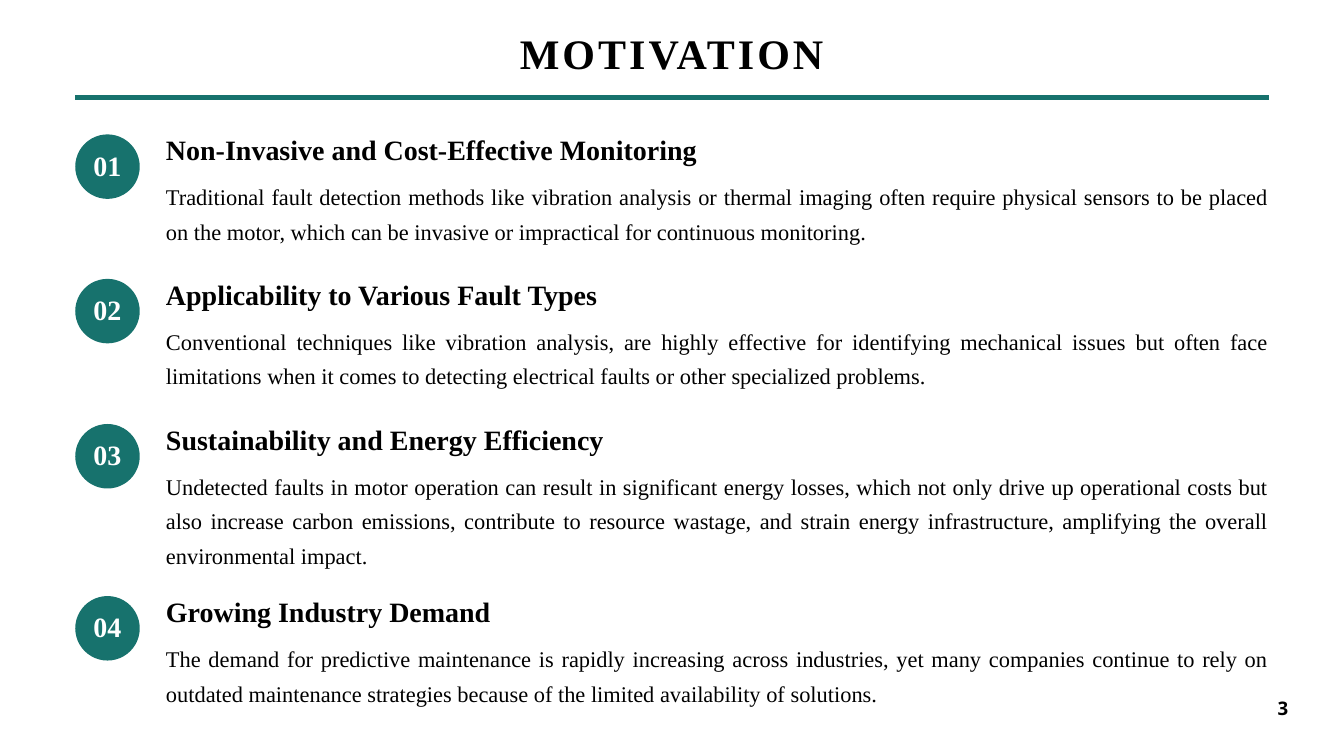
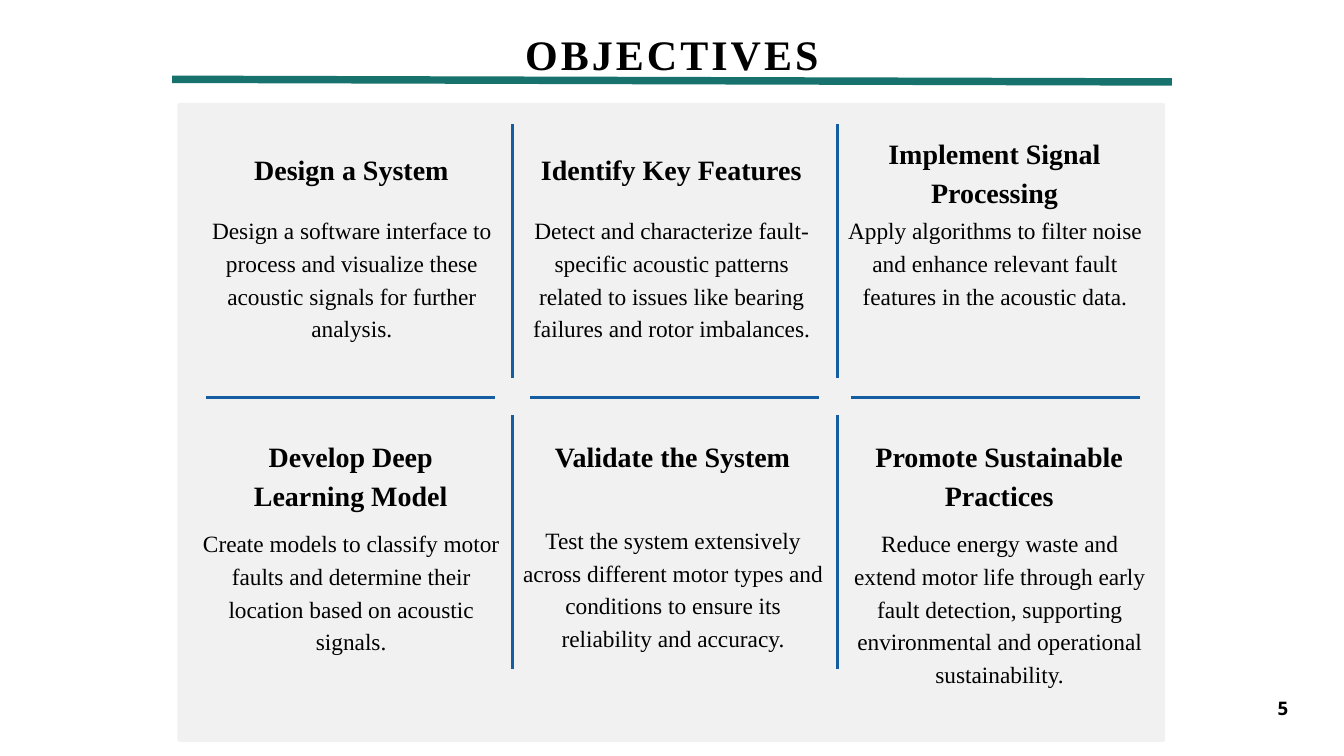
"""Builds the motivation and objectives slides of a motor fault detection talk."""
from itertools import product

from lxml import etree
from pptx import Presentation
from pptx.dml.color import RGBColor
from pptx.enum.shapes import MSO_CONNECTOR as CONN, MSO_SHAPE as SHAPE
from pptx.enum.text import MSO_ANCHOR as ANCHOR, MSO_AUTO_SIZE as AUTO, PP_ALIGN as ALIGN
from pptx.oxml.ns import qn
from pptx.util import Inches, Pt

TEAL, BLUE, GREY = "17726D", "145DA0", "F2F1F1"
BLACK, WHITE = "000000", "FFFFFF"
SERIF, SANS = "Times New Roman", "Open Sans"

REASONS = [
    (2.0, 1.05, "Non-Invasive and Cost-Effective Monitoring",
     "Traditional fault detection methods like vibration analysis or thermal imaging often "
     "require physical sensors to be placed on the motor, which can be invasive or "
     "impractical for continuous monitoring."),
    (4.15, 1.05, "Applicability to Various Fault Types",
     "Conventional techniques like vibration analysis, are highly effective for identifying "
     "mechanical issues but often face limitations when it comes to detecting electrical "
     "faults or other specialized problems."),
    (6.31, 1.52, "Sustainability and Energy Efficiency",
     "Undetected faults in motor operation can result in significant energy losses, which "
     "not only drive up operational costs but also increase carbon emissions, contribute to "
     "resource wastage, and strain energy infrastructure, amplifying the overall "
     "environmental impact."),
    (8.87, 1.01, "Growing Industry Demand",
     "The demand for predictive maintenance is rapidly increasing across industries, yet "
     "many companies continue to rely on outdated maintenance strategies because of the "
     "limited availability of solutions."),
]

GOALS = [
    (5.23, 2.18, 3.15, "Design a System",
     "Design a software interface to process and visualize these acoustic signals for "
     "further analysis."),
    (9.99, 2.18, 3.15, "Identify Key Features",
     "Detect and characterize fault-specific acoustic patterns related to issues like "
     "bearing failures and rotor imbalances."),
    (14.8, 1.95, 3.15, "Implement Signal Processing",
     "Apply algorithms to filter noise and enhance relevant fault features in the acoustic "
     "data."),
    (5.22, 6.46, 7.81, "Develop Deep Learning Model",
     "Create models to classify motor faults and determine their location based on acoustic "
     "signals."),
    (10.01, 6.46, 7.76, "Validate the System",
     "Test the system extensively across different motor types and conditions to ensure its "
     "reliability and accuracy."),
    (14.87, 6.46, 7.81, "Promote Sustainable Practices",
     "Reduce energy waste and extend motor life through early fault detection, supporting "
     "environmental and operational sustainability."),
]


def rgb(value):
    return RGBColor.from_string(value)


class Deck:
    def __init__(self):
        self.prs = Presentation()
        self.prs.slide_width, self.prs.slide_height = Inches(20), Inches(11.25)
        self.slide = None

    def add_slide(self, title, box, rule, weight, number):
        self.slide = self.prs.slides.add_slide(self.prs.slide_layouts[5])
        sp = self.slide.shapes.title
        sp.left, sp.top, sp.width, sp.height = map(Inches, box)
        self.set_text(sp, title, 45, 63, ALIGN.CENTER, bold=True, spacing=330)
        self.line(*rule, TEAL, weight)
        self.text((18.97, 10.27, 0.2, 0.4), number, 20, 31, ALIGN.RIGHT,
                  bold=True, font=SANS, spacing=150)

    def set_text(self, sp, text, size, leading, align, bold=False, color=BLACK,
                 font=SERIF, spacing=0, anchor=ANCHOR.TOP):
        tf = sp.text_frame
        tf.margin_left = tf.margin_right = tf.margin_top = tf.margin_bottom = 0
        tf.word_wrap, tf.auto_size, tf.vertical_anchor = True, AUTO.NONE, anchor
        p = tf.paragraphs[0]
        p.text, p.alignment, p.line_spacing = text, align, Pt(leading)
        p.font.name, p.font.size, p.font.bold = font, Pt(size), bold
        p.font.color.rgb = rgb(color)
        if spacing:
            p._p.pPr.find(qn("a:defRPr")).set("spc", str(spacing))

    def text(self, box, *args, **style):
        self.set_text(self.slide.shapes.add_textbox(*map(Inches, box)), *args, **style)

    def heading(self, box, text, align=ALIGN.LEFT):
        self.text(box, text, 30, 42, align, bold=True)

    def shape(self, kind, box, fill):
        sp = self.slide.shapes.add_shape(kind, *map(Inches, box))
        sp.shadow.inherit = False
        sp.fill.solid()
        sp.fill.fore_color.rgb = rgb(fill)
        sp.line.fill.background()
        return sp

    def badge(self, box, text):
        sp = self.shape(SHAPE.OVAL, box, TEAL)
        self.set_text(sp, text, 30, 42, ALIGN.CENTER, bold=True, color=WHITE,
                      anchor=ANCHOR.MIDDLE)
        sp.text_frame.margin_bottom = Inches(0.13)

    def line(self, x1, y1, x2, y2, color, weight):
        ends = map(Inches, (x1, y1, x2, y2))
        cxn = self.slide.shapes.add_connector(CONN.STRAIGHT, *ends)
        cxn.line.color.rgb = rgb(color)
        cxn.line.width = Pt(weight)
        etree.SubElement(cxn._element.spPr, qn("a:effectLst"))


def motivation(deck):
    deck.add_slide("MOTIVATION", (1.12, 0.28, 17.75, 0.93), (1.12, 1.45, 18.88, 1.45), 6, "3")
    for i, (top, height, head, body) in enumerate(REASONS, 1):
        deck.badge((1.12, top, 0.96, 0.96), f"{i:02}")
        deck.heading((2.47, top - 0.11, 16.4, 0.6), head)
        deck.text((2.47, top + 0.61, 16.4, height), body, 24, 37.2, ALIGN.JUSTIFY)


def objectives(deck):
    deck.add_slide("OBJECTIVES", (0, 0.3, 20, 0.88), (2.56, 1.18, 17.44, 1.22), 8, "5")
    panel = deck.shape(SHAPE.ROUNDED_RECTANGLE, (2.64, 1.53, 14.7, 9.51), GREY)
    panel.adjustments[0] = 0.004
    for x, y in product((7.63, 12.46), (1.85, 6.18)):
        deck.line(x, y, x, y + 3.77, BLUE, 3)
    for x in (3.07, 7.89, 12.67):
        deck.line(x, 5.91, x + 4.3, 5.91, BLUE, 3)
    for center, head_top, body_top, head, body in GOALS:
        deck.heading((center - 2, head_top, 4, 1.19), head, ALIGN.CENTER)
        deck.text((center - 2.25, body_top, 4.51, 2.43), body, 25, 35, ALIGN.CENTER)


def main():
    deck = Deck()
    motivation(deck)
    objectives(deck)
    deck.prs.save("out.pptx")


if __name__ == "__main__":
    main()
